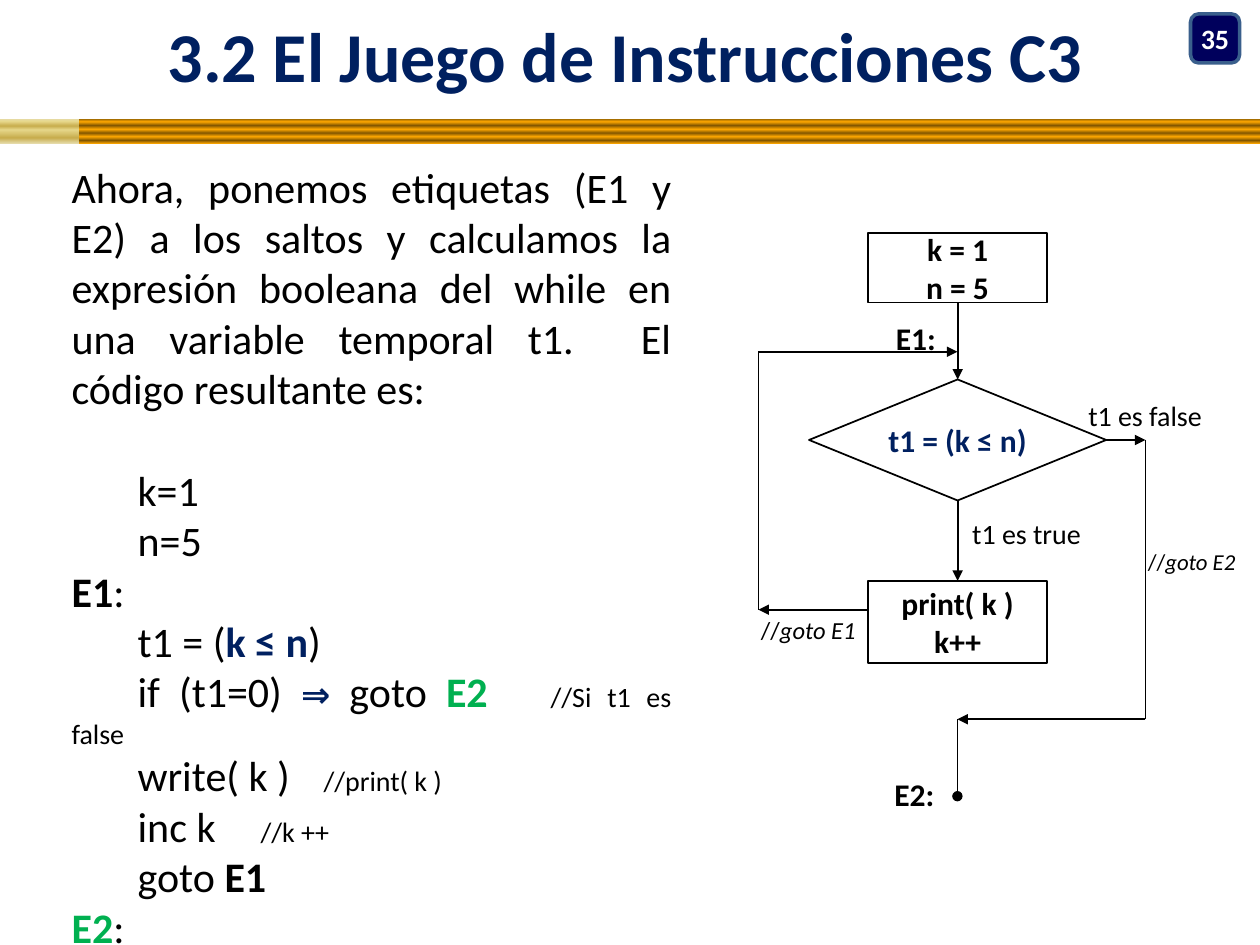
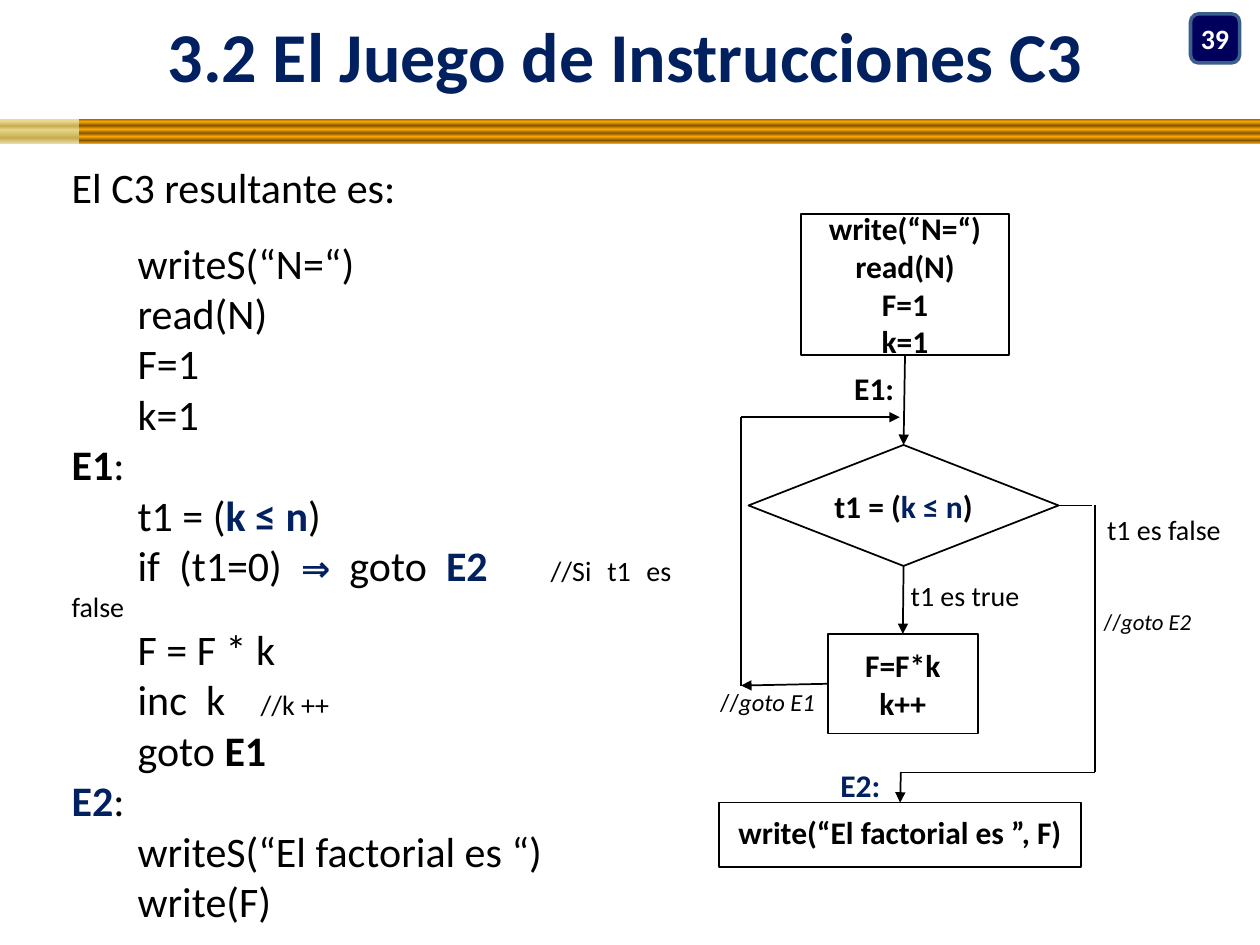
from lxml import etree
from pptx import Presentation
from pptx import util as u
from pptx.dml.color import RGBColor
from pptx.enum import shapes, text
from pptx.oxml.ns import qn

COLORS = {"black": "000000", "white": "FFFFFF", "navy": "002060", "green": "00B050",
          "badge": "00005C", "badge edge": "3A5F8C"}
FONT = "Calibri"
TITLE = "3.2 El Juego de Instrucciones C3"
# Span style: colour, bold, italic, own size (None takes the size of the block)
STYLES = {
    "plain": ("black", False, False, None),
    "bold": ("black", True, False, None),
    "italic": ("black", False, True, None),
    "navy": ("navy", True, False, None),
    "green": ("green", True, False, None),
    "white": ("white", True, False, None),
    "arrow": ("navy", True, False, 20),
    "note": ("black", False, False, 16),
}
# Horizontal bands: width, gradient stops (percent, colour)
BANDS = [
    (25.4, [(0, "825600"), (13, "FFA800"), (28, "825600"), (43, "FFA800"),
            (58, "825600"), (72, "FFA800"), (87, "825600"), (100, "FFA800")]),
    (1.6, [(0, "E6DCAC"), (12, "E6D78A"), (30, "C7AC4C"), (45, "E6D78A"),
           (77, "C7AC4C"), (100, "E6DCAC")]),
]
CODE_INDENT = 1.33
COMMENT_TABS = (5.23, 8.38)
TOP, LEFT, BOTTOM, RIGHT = range(4)
RECT = shapes.MSO_SHAPE.RECTANGLE
DIAMOND = shapes.MSO_SHAPE.FLOWCHART_DECISION

# Spans that appear on both slides
CONDITION = [("t1 = (", "plain"), ("k ≤ n", "navy"), (")", "plain")]
GOTO_E1 = [("goto ", "plain"), ("E1", "bold")]
LABEL_E1 = [("E1", "bold"), (":", "plain")]
INC_NOTE = ("\t//k ++", "note")
JUMP_E1 = [("//", "plain"), ("goto E1", "italic")]
JUMP_E2 = [("//", "plain"), ("goto E2", "italic")]

# Label sizes: width, height, points
SIZES = {"false": (2.82, 0.94, 16), "true": (2.74, 0.94, 16), "mark": (1.32, 1.02, 18),
         "back": (2.41, 0.86, 14), "exit": (2.29, 0.81, 13)}

SLIDES = [
    {
        "number": "35",
        "intro": "Ahora, ponemos etiquetas (E1 y E2) a los saltos y calculamos la expresión "
                 "booleana del while en una variable temporal t1.  El código resultante es:",
        "gap": 29.3,
        "mark": "green",
        "code": [
            [("k=1", "plain")],
            [("n=5", "plain")],
            LABEL_E1,
            CONDITION,
            "exit test",
            [("write( k )", "plain"), ("\t//print( k )", "note")],
            [("inc k", "plain"), INC_NOTE],
            GOTO_E1,
            "exit mark",
        ],
        "boxes": {
            "start": (RECT, 17.5, 4.7, 3.61, 1.4, [[("k = 1", "bold")], [("n = 5", "bold")]]),
            "test": (DIAMOND, 16.31, 7.65, 5.99, 2.44, [[("t1 = (k ≤ n)", "navy")]]),
            "loop": (RECT, 17.5, 11.71, 3.61, 1.65, [[("print( k )", "bold")], [("k++", "bold")]]),
        },
        "lines": [
            (("start", BOTTOM), ("test", TOP), "triangle"),
            (("test", BOTTOM), ("loop", TOP), "triangle"),
            (("test", RIGHT), (23.09, 8.87), "triangle"),
            ((23.09, 8.87), (23.09, 14.5), None),
            ((23.09, 14.5), (19.3, 14.5), "triangle"),
            ((19.3, 14.5), (19.3, 16.05), "oval"),
            ((17.5, 12.29), (15.29, 12.29), "triangle"),
            ((15.29, 12.29), (15.29, 7.09), None),
            ((15.29, 7.09), (19.3, 7.09), "triangle"),
        ],
        "labels": [
            ("false", 21.69, 7.9, [("t1 es false", "plain")]),
            ("true", 19.35, 10.29, [("t1 es true", "plain")]),
            ("mark", 17.78, 15.49, [("E2:", "bold")]),
            ("mark", 17.81, 6.3, [("E1:", "bold")]),
            ("back", 15.09, 12.27, JUMP_E1),
            ("exit", 22.89, 10.92, JUMP_E2),
        ],
    },
    {
        "number": "39",
        "intro": "El C3 resultante es:",
        "gap": 14.6,
        "mark": "navy",
        "code": [
            [("writeS(“N=“)", "plain")],
            [("read(N)", "plain")],
            [("F=1", "plain")],
            [("k=1", "plain")],
            LABEL_E1,
            CONDITION,
            "exit test",
            [("F = F * k", "plain")],
            [("inc  k", "plain"), INC_NOTE],
            GOTO_E1,
            "exit mark",
            [("writeS(“El factorial es “)", "plain")],
            [("write(F)", "plain")],
        ],
        "boxes": {
            "start": (RECT, 16.15, 4.32, 4.19, 2.84,
                      [[(line, "bold")] for line in ("write(“N=“)", "read(N)", "F=1", "k=1")]),
            "test": (DIAMOND, 15.09, 8.97, 6.25, 2.44,
                     [[("t1 = (", "bold"), ("k ≤ n", "navy"), (")", "bold")]]),
            "loop": (RECT, 16.69, 12.78, 3.02, 2.01, [[("F=F*k", "bold")], [("k++", "bold")]]),
            "result": (RECT, 14.5, 16.18, 7.29, 1.3, [[("write(“El factorial es ”, F)", "bold")]]),
        },
        "lines": [
            (("start", BOTTOM), ("test", TOP), "triangle"),
            (("test", BOTTOM), ("loop", TOP), "triangle"),
            (("test", RIGHT), (22.02, 10.19), None),
            ((22.07, 10.19), (22.07, 15.57), None),
            ((22.07, 15.57), (18.14, 15.57), None),
            ((18.16, 15.57), ("result", TOP), "triangle"),
            (("loop", LEFT), (14.94, 13.82), "triangle"),
            ((14.94, 13.82), (14.94, 8.41), None),
            ((14.94, 8.41), (18.14, 8.41), "triangle"),
        ],
        "labels": [
            ("false", 22.07, 10.21, [("t1 es false", "plain")]),
            ("exit", 22.0, 12.12, JUMP_E2),
            ("back", 14.27, 13.72, JUMP_E1),
            ("true", 18.11, 11.53, [("t1 es true", "plain")]),
            ("mark", 16.97, 7.32, [("E1:", "bold")]),
            ("mark", 16.69, 15.32, [("E2:", "navy")]),
        ],
    },
]


def write(frame, lines, size, align):
    """Fill a text frame with lines, each a list of (words, style) spans."""
    for index, spans in enumerate(lines):
        para = frame.add_paragraph() if index else frame.paragraphs[0]
        para.alignment = align
        for words, style in spans:
            color, bold, italic, own_size = STYLES[style]
            span = para.add_run()
            span.text = words
            span.font.name = FONT
            span.font.size = u.Pt(own_size or size)
            span.font.bold, span.font.italic = bold, italic
            span.font.color.rgb = RGBColor.from_string(COLORS[color])


def place(shape, left, top, width, height):
    """Set position and size in centimetres."""
    shape.left, shape.top = u.Cm(left), u.Cm(top)
    shape.width, shape.height = u.Cm(width), u.Cm(height)


ALIGN = text.PP_ALIGN
deck = Presentation()
deck.slide_width, deck.slide_height = u.Cm(25.4), u.Cm(19.05)

for content in SLIDES:
    page = deck.slides.add_slide(deck.slide_layouts[1])
    title, body = page.placeholders

    # Title
    place(title, 0, 0, 25.2, 2.18)
    frame = title.text_frame
    frame.margin_left = frame.margin_right = frame.margin_top = frame.margin_bottom = 0
    frame.vertical_anchor = text.MSO_ANCHOR.MIDDLE
    frame.auto_size = text.MSO_AUTO_SIZE.NONE
    write(frame, [[(TITLE, "navy")]], 40, ALIGN.CENTER)

    # Gradient bands
    for width, stops in BANDS:
        band = page.shapes.add_shape(RECT, 0, u.Cm(2.39), u.Cm(width), u.Cm(0.51))
        band.shadow.inherit = False
        band.line.fill.background()
        band.fill.gradient()
        band.fill.gradient_angle = 270
        stop_list = band.element.spPr.find(".//" + qn("a:gsLst"))
        for old_stop in list(stop_list):
            stop_list.remove(old_stop)
        for percent, color in stops:
            stop = etree.SubElement(stop_list, qn("a:gs"), pos=str(percent * 1000))
            etree.SubElement(stop, qn("a:srgbClr"), val=color)

    # Slide number badge
    badge = page.shapes.add_shape(shapes.MSO_SHAPE.ROUNDED_RECTANGLE, 0, 0, 0, 0)
    place(badge, 24, 0.28, 0.99, 0.99)
    badge.shadow.inherit = False
    badge.fill.solid()
    badge.fill.fore_color.rgb = RGBColor.from_string(COLORS["badge"])
    badge.line.color.rgb = RGBColor.from_string(COLORS["badge edge"])
    badge.line.width = u.Pt(2)
    badge.text_frame.margin_left = badge.text_frame.margin_right = 0
    write(badge.text_frame, [[(content["number"], "white")]], 16, ALIGN.CENTER)

    # Explanation and three-address code
    mark = content["mark"]
    shared_lines = {
        "exit test": [("if (t1=0) ", "plain"), ("⇒", "arrow"), (" goto ", "plain"),
                      ("E2", mark), ("\t//Si t1 es false", "note")],
        "exit mark": [("E2", mark), (":", "plain")],
    }
    code = [shared_lines[line] if isinstance(line, str) else line for line in content["code"]]
    place(body, 1.19, 3.12, 12.6, 14.4)
    body.text_frame.auto_size = text.MSO_AUTO_SIZE.NONE
    write(body.text_frame, [[(content["intro"], "plain")]] + code, 24, ALIGN.JUSTIFY)
    for index, para in enumerate(body.text_frame.paragraphs):
        para.space_before = u.Pt(content["gap"] if index == 1 else 0)
        indented = index > 0 and para.text not in ("E1:", "E2:")
        properties = para._p.get_or_add_pPr()
        properties.set("marL", "0")
        properties.set("indent", str(u.Cm(CODE_INDENT if indented else 0)))
        etree.SubElement(properties, qn("a:buNone"))
        tabs = etree.SubElement(properties, qn("a:tabLst"))
        for position in COMMENT_TABS:
            etree.SubElement(tabs, qn("a:tab"), pos=str(u.Cm(position)), algn="l")

    # Flowchart boxes
    boxes = {}
    for name, (kind, left, top, width, height, lines) in content["boxes"].items():
        box = page.shapes.add_shape(kind, 0, 0, 0, 0)
        place(box, left, top, width, height)
        box.shadow.inherit = False
        box.fill.background()
        box.line.color.rgb = RGBColor.from_string(COLORS["black"])
        box.line.width = u.Pt(1)
        frame = box.text_frame
        frame.vertical_anchor = text.MSO_ANCHOR.MIDDLE
        if kind == DIAMOND:
            frame.margin_left = frame.margin_right = u.Cm(0.1)
        if name == "result":
            frame.margin_top = 0
        write(frame, lines, 18, ALIGN.CENTER)
        boxes[name] = box

    # Flow lines: an end is a point or a (box, side) pair
    for start, end, head in content["lines"]:
        start_point = (0, 0) if start[0] in boxes else start
        end_point = (0, 0) if end[0] in boxes else end
        connector = page.shapes.add_connector(
            shapes.MSO_CONNECTOR.STRAIGHT, *[u.Cm(value) for value in start_point + end_point])
        if start[0] in boxes:
            connector.begin_connect(boxes[start[0]], start[1])
        if end[0] in boxes:
            connector.end_connect(boxes[end[0]], end[1])
        connector.line.color.rgb = RGBColor.from_string(COLORS["black"])
        connector.line.width = u.Pt(1)
        properties = connector.element.spPr
        if head:
            etree.SubElement(properties.find(qn("a:ln")), qn("a:tailEnd"), type=head)
        etree.SubElement(properties, qn("a:effectLst"))

    # Flow labels
    for kind, left, top, spans in content["labels"]:
        width, height, size = SIZES[kind]
        label = page.shapes.add_textbox(u.Cm(left), u.Cm(top), u.Cm(width), u.Cm(height))
        label.text_frame.word_wrap = False
        write(label.text_frame, [spans], size, ALIGN.LEFT)

deck.save("out.pptx")
